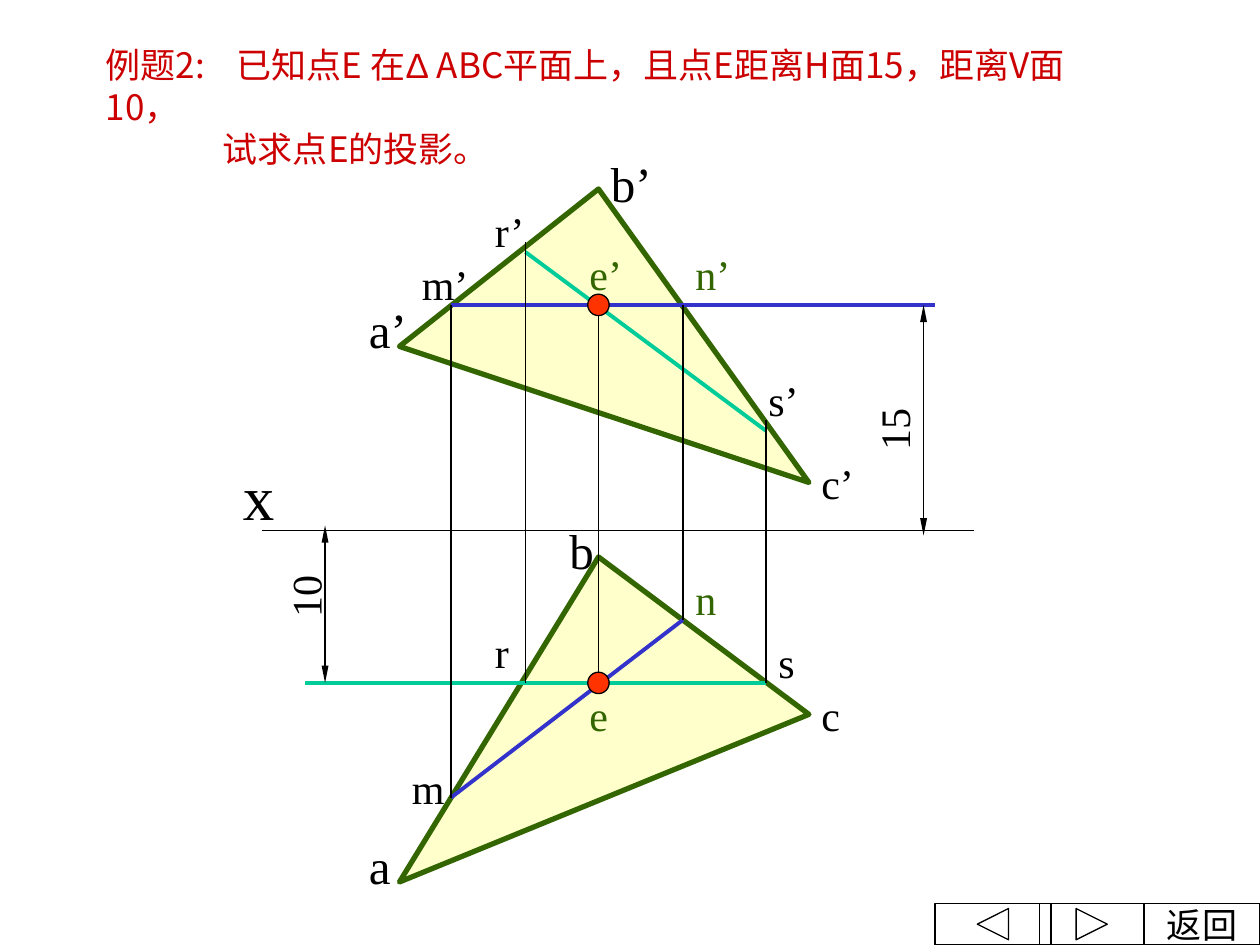
from dataclasses import dataclass

from lxml.etree import SubElement
from pptx import Presentation
from pptx.dml.color import RGBColor
from pptx.enum.shapes import MSO_CONNECTOR as CONN, MSO_SHAPE as SHAPE
from pptx.enum.text import MSO_ANCHOR as ANCHOR, PP_ALIGN as ALIGN
from pptx.oxml.ns import qn
from pptx.util import Inches, Pt


@dataclass(frozen=True)
class Theme:
    black: str = "000000"
    red: str = "CC0000"
    green: str = "336600"
    cream: str = "FFFFCC"
    blue: str = "3333CC"
    teal: str = "00CC99"
    orange: str = "FF3300"
    serif: str = "Times New Roman"
    sans: str = "Arial"
    cjk: str = "Noto Sans CJK JP"
    title: int = 20
    label: int = 24
    vertex: int = 28
    axis: int = 36
    thin: float = 0.75
    medium: float = 2.25
    thick: float = 3


class Drawing:
    def __init__(self, slide, theme):
        self.shapes = slide.shapes
        self.theme = theme

    def style_font(self, p, size, color, name):
        p.font.size = Pt(size)
        p.font.color.rgb = RGBColor.from_string(color)
        p.font.name = name
        SubElement(p.font._element, qn("a:ea"), typeface=self.theme.cjk)

    def style_shape(self, s, fill, color, width):
        s.shadow.inherit = False
        if fill:
            s.fill.solid()
            s.fill.fore_color.rgb = RGBColor.from_string(fill)
        else:
            s.fill.background()
        s.line.color.rgb = RGBColor.from_string(color)
        s.line.width = Pt(width)

    def triangle(self, *points):
        corners = [(Inches(x), Inches(y)) for x, y in points]
        builder = self.shapes.build_freeform(*corners[0])
        builder.add_line_segments(corners[1:], close=True)
        t = self.theme
        self.style_shape(builder.convert_to_shape(), t.cream, t.green, t.thick)

    def line(self, start, end, color=None, width=None, arrows=False):
        s = self.shapes.add_connector(CONN.STRAIGHT, *map(Inches, start + end))
        s.line.color.rgb = RGBColor.from_string(color or self.theme.black)
        s.line.width = Pt(width or self.theme.thin)
        if arrows:
            for tag in ("a:headEnd", "a:tailEnd"):
                SubElement(s.line._get_or_add_ln(), qn(tag),
                           type="triangle", w="sm", len="lg")
        SubElement(s._element.spPr, qn("a:effectLst"))

    def label(self, text, x, y, size=None, color=None, width=0.67, rotation=0):
        t = self.theme
        size = size or t.label
        s = self.shapes.add_textbox(Inches(x), Inches(y), Inches(width),
                                    Inches(0.1 + size / 60))
        s.rotation = rotation
        s.text_frame.word_wrap = True
        p = s.text_frame.paragraphs[0]
        p.text = text
        self.style_font(p, size, color or t.black, t.serif)

    def dimension(self, text, x, top, bottom, text_x, text_y):
        self.line((x, top), (x, bottom), arrows=True)
        self.label(text, text_x, text_y, width=0.92, rotation=270)

    def point(self, x, y, diameter=0.17):
        s = self.shapes.add_shape(
            SHAPE.OVAL, Inches(x - diameter / 2), Inches(y - diameter / 2),
            Inches(diameter), Inches(diameter))
        self.style_shape(s, self.theme.orange, self.theme.black, self.theme.thin)

    def button(self, kind, x, width, text=""):
        t = self.theme
        s = self.shapes.add_shape(kind, Inches(x), Inches(7.17),
                                  Inches(width), Inches(0.33))
        self.style_shape(s, None, t.black, t.thin)
        if text:
            tf = s.text_frame
            tf.word_wrap = False
            tf.vertical_anchor = ANCHOR.MIDDLE
            p = tf.paragraphs[0]
            p.text = text
            p.alignment = ALIGN.CENTER
            self.style_font(p, t.title, t.black, t.serif)

    def title(self, first_runs, second_line):
        t = self.theme
        s = self.shapes.add_textbox(Inches(0.74), Inches(0.43),
                                    Inches(8.25), Inches(0.83))
        tf = s.text_frame
        tf.word_wrap = True
        tf.vertical_anchor = ANCHOR.MIDDLE
        first, second = tf.paragraphs[0], tf.add_paragraph()
        for text, name in first_runs:
            r = first.add_run()
            r.text = text
            r.font.name = name
        second.text = second_line
        second._p.get_or_add_pPr().set("marL", str(Inches(0.93)))
        for p in (first, second):
            p.line_spacing = Pt(24)
        # Tab stop that separates the heading from the statement
        tabs = SubElement(first._p.get_or_add_pPr(), qn("a:tabLst"))
        SubElement(tabs, qn("a:tab"), pos=str(Inches(1.04)), algn="l")
        for p in (first, second):
            self.style_font(p, t.title, t.red, t.cjk)


def main():
    prs = Presentation()
    prs.slide_width, prs.slide_height = Inches(10), Inches(7.5)
    t = Theme()
    d = Drawing(prs.slides.add_slide(prs.slide_layouts[6]), t)

    # Columns shared by both views, and the levels of E
    a_x, m_x, r_x, e_x, n_x, s_x, c_x = 3.17, 3.58, 4.17, 4.75, 5.42, 6.08, 6.42
    front_e, top_e, axis_y = 2.42, 5.42, 4.21

    # Horizontal and frontal views of triangle ABC, and the X axis
    d.triangle((a_x, 7), (e_x, 4.42), (c_x, 5.67))
    d.triangle((a_x, 2.75), (e_x, 1.5), (c_x, 3.83))
    d.line((2.08, axis_y), (7.73, axis_y))

    # Auxiliary lines MN and RS
    for start, end, color in (
        ((n_x, 4.92), (m_x, 6.33), t.blue),
        ((m_x, front_e), (7.42, front_e), t.blue),
        ((s_x, top_e), (2.42, top_e), t.teal),
        ((s_x, 3.42), (r_x, 2), t.teal),
    ):
        d.line(start, end, color, t.medium)

    # Projection lines
    for x, top, bottom in ((r_x, 1.92, top_e), (n_x, front_e, 4.92),
                           (m_x, front_e, 6.33), (s_x, 3.33, top_e),
                           (e_x, 2.33, top_e)):
        d.line((x, top), (x, bottom))

    # Distances of E from V and H
    d.dimension("10", 2.58, 4.17, top_e, 1.96, 4.29)
    d.dimension("15", 7.33, front_e, 4.25, 6.63, 2.96)

    # Projections of E
    for y in (front_e, top_e):
        d.point(e_x, y)

    # Letters
    d.label("x", 1.83, 3.58, t.axis, width=0.81)
    for text, x, y in (("a’", 2.83, 2.33), ("b’", 4.75, 1.17),
                       ("b", 4.42, 4.08), ("a", 2.83, 6.58)):
        d.label(text, x, y, t.vertex)
    for text, x, y in (("c’", 6.42, 3.58), ("c", 6.42, 5.42),
                       ("m", 3.17, 6), ("m’", 3.25, 2),
                       ("r", 3.83, 4.92), ("s", 6.08, 5),
                       ("r’", 3.83, 1.58), ("s’", 6, 2.92)):
        d.label(text, x, y)
    for text, x, y in (("n", 5.42, 4.5), ("n’", 5.42, 1.92),
                       ("e’", 4.58, 1.92), ("e", 4.58, 5.42)):
        d.label(text, x, y, color=t.green, width=0.5)

    # Problem statement
    d.title((("例题2:\t已知点E 在", t.cjk), ("Δ ", t.sans),
             ("ABC平面上，且点E距离H面15，距离V面10，", t.cjk)),
            "试求点E的投影。")

    # Navigation buttons
    d.button(SHAPE.ACTION_BUTTON_CUSTOM, 9.08, 0.92, "返回")
    d.button(SHAPE.ACTION_BUTTON_BACK_OR_PREVIOUS, 7.42, 0.92)
    d.button(SHAPE.ACTION_BUTTON_FORWARD_OR_NEXT, 8.25, 0.83)

    prs.save("out.pptx")


if __name__ == "__main__":
    main()
